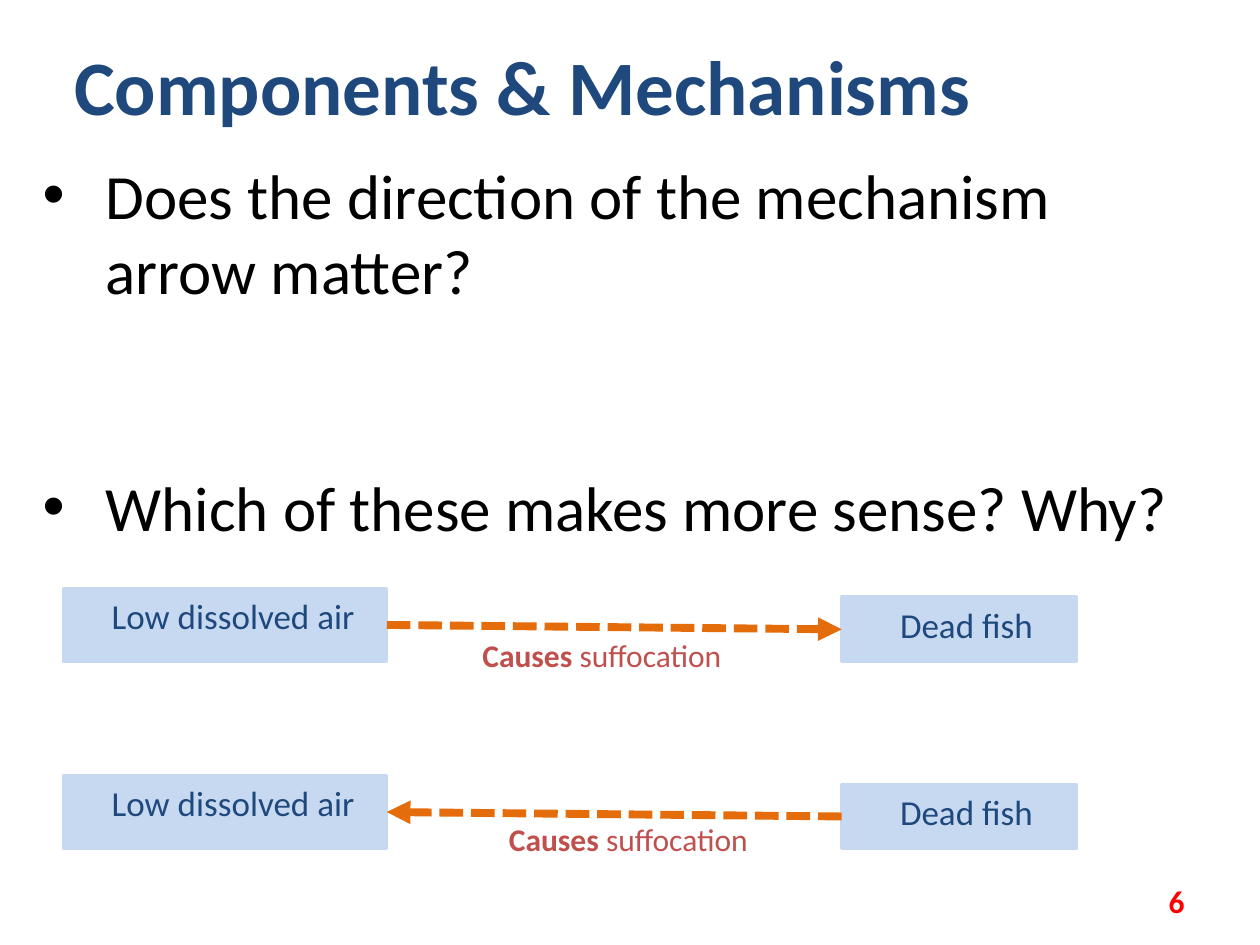
"""Builds the slide on how the direction of a mechanism arrow matters."""
import pptx
import pptx.dml.color
import pptx.enum.dml
import pptx.enum.shapes
import pptx.enum.text
import pptx.oxml.ns
import pptx.util
from lxml import etree

HUES = {"navy": "1F497D", "black": "000000", "red": "FF0000",
        "pale": "C6D9F1", "orange": "E46C0A", "brick": "C0504D"}
COLS, ROWS = 100, 75
WIDE, HIGH = pptx.util.Inches(10), pptx.util.Inches(7.5)
ALIGN = pptx.enum.text.PP_ALIGN
ANCHOR = pptx.enum.text.MSO_ANCHOR


def span(left, top, width, height):
    """Turn grid columns and rows into slide lengths."""
    return (int(left * WIDE / COLS), int(top * HIGH / ROWS),
            int(width * WIDE / COLS), int(height * HIGH / ROWS))


def hue(name):
    """Return a named colour."""
    return pptx.dml.color.RGBColor.from_string(HUES[name])


def style(item, **vals):
    """Set each given attribute on an item."""
    for key, val in vals.items():
        setattr(item, key, val)


def tag(parent, name, **vals):
    """Add a drawing element with its attributes."""
    return etree.SubElement(parent, pptx.oxml.ns.qn(name), vals)


def write(par, text, size, color, bold=False):
    """Add a formatted run to a paragraph."""
    run = par.add_run()
    run.text = text
    style(run.font, name="Calibri", size=pptx.util.Pt(size), bold=bold)
    run.font.color.rgb = hue(color)


def label(slide, area, parts, size, color, align=ALIGN.LEFT, **frame):
    """Add a one-line text box from (text, bold) parts."""
    box = slide.shapes.add_textbox(*span(*area))
    style(box.text_frame, **{"word_wrap": False, **frame})
    par = box.text_frame.paragraphs[0]
    par.alignment = align
    for text, bold in parts:
        write(par, text, size, color, bold)


def points(slide, area, texts, gap):
    """Add a bulleted list with a gap between its points."""
    frame = slide.shapes.add_textbox(*span(*area)).text_frame
    frame.word_wrap = True
    for num, text in enumerate(texts):
        par = frame.add_paragraph() if num else frame.paragraphs[0]
        par.space_after = pptx.util.Pt(12)
        if num:
            par.space_before = pptx.util.Pt(gap)
        props = par._p.get_or_add_pPr()
        hang = pptx.util.Inches(0.5)
        props.set("marL", str(hang))
        props.set("indent", str(-hang))
        tag(props, "a:buFont", typeface="Arial")
        tag(props, "a:buChar", char="•")
        write(par, text, 36, "black")


def node(slide, area, text):
    """Add a component rectangle."""
    kind = pptx.enum.shapes.MSO_SHAPE.RECTANGLE
    box = slide.shapes.add_shape(kind, *span(*area))
    box.shadow.inherit = False
    box.fill.solid()
    box.fill.fore_color.rgb = box.line.color.rgb = hue("pale")
    box.line.width = pptx.util.Pt(2)
    style(box.text_frame, word_wrap=True, vertical_anchor=ANCHOR.TOP,
          margin_left=pptx.util.Inches(0.22))
    par = box.text_frame.paragraphs[0]
    par.alignment = ALIGN.CENTER
    write(par, text, 20, "navy")
    return box


def arrow(slide, start, end):
    """Join two (box, side) pairs with a dotted arrow."""
    kind = pptx.enum.shapes.MSO_CONNECTOR.STRAIGHT
    line = slide.shapes.add_connector(kind, 0, 0, 0, 0)
    line.begin_connect(*start)
    line.end_connect(*end)
    line.line.color.rgb = hue("orange")
    style(line.line, width=pptx.util.Pt(4.5),
          dash_style=pptx.enum.dml.MSO_LINE.SQUARE_DOT)
    tag(line.line._get_or_add_ln(), "a:tailEnd", type="triangle")
    tag(line._element.spPr, "a:effectLst")


def main():
    """Build and save the slide."""
    deck = pptx.Presentation()
    style(deck, slide_width=WIDE, slide_height=HIGH)
    slide = deck.slides.add_slide(deck.slide_layouts[6])
    label(slide, (4.9, 2.6, 73.8, 8.4),
          [("Components & Mechanisms", True)], 44, "navy")
    points(slide, (2.4, 11.9, 92.6, 32),
           ["Does the direction of the mechanism arrow matter?",
            "Which of these makes more sense? Why?"], 80)
    label(slide, (71.7, 69.5, 23.3, 4), [("6", True)], 18, "red",
          ALIGN.RIGHT, word_wrap=True, vertical_anchor=ANCHOR.MIDDLE)
    for top, back, left, drop in ((46.7, False, 37.3, 3.3),
                                  (61.55, True, 39.4, 3.05)):
        fish = node(slide, (66.8, top + 0.7, 18.6, 5.1), "Dead fish")
        air = node(slide, (5.1, top, 25.6, 5.8), "Low dissolved air")
        ends = [(air, 3), (fish, 1)]
        arrow(slide, *(reversed(ends) if back else ends))
        label(slide, (left, top + drop, 21.1, 4),
              [("Causes", True), (" suffocation", False)], 18, "brick")
    deck.save("out.pptx")


if __name__ == "__main__":
    main()
